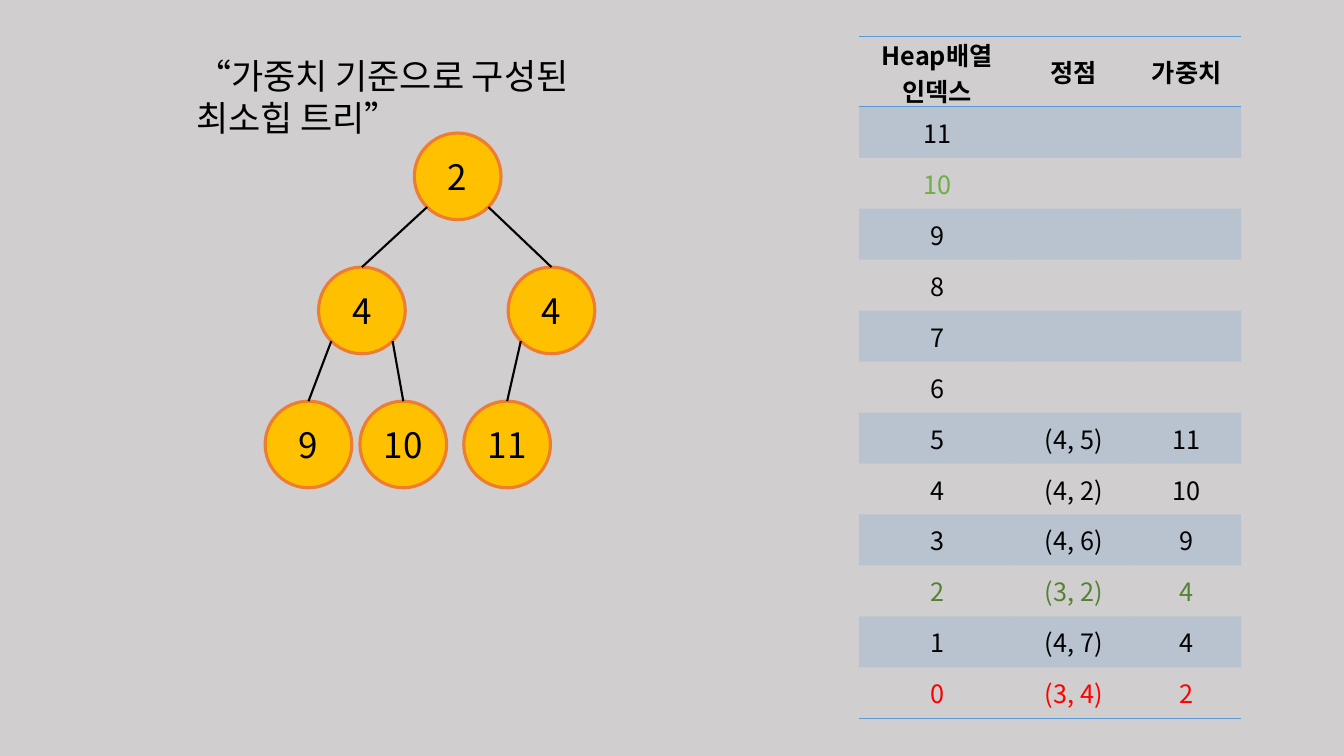
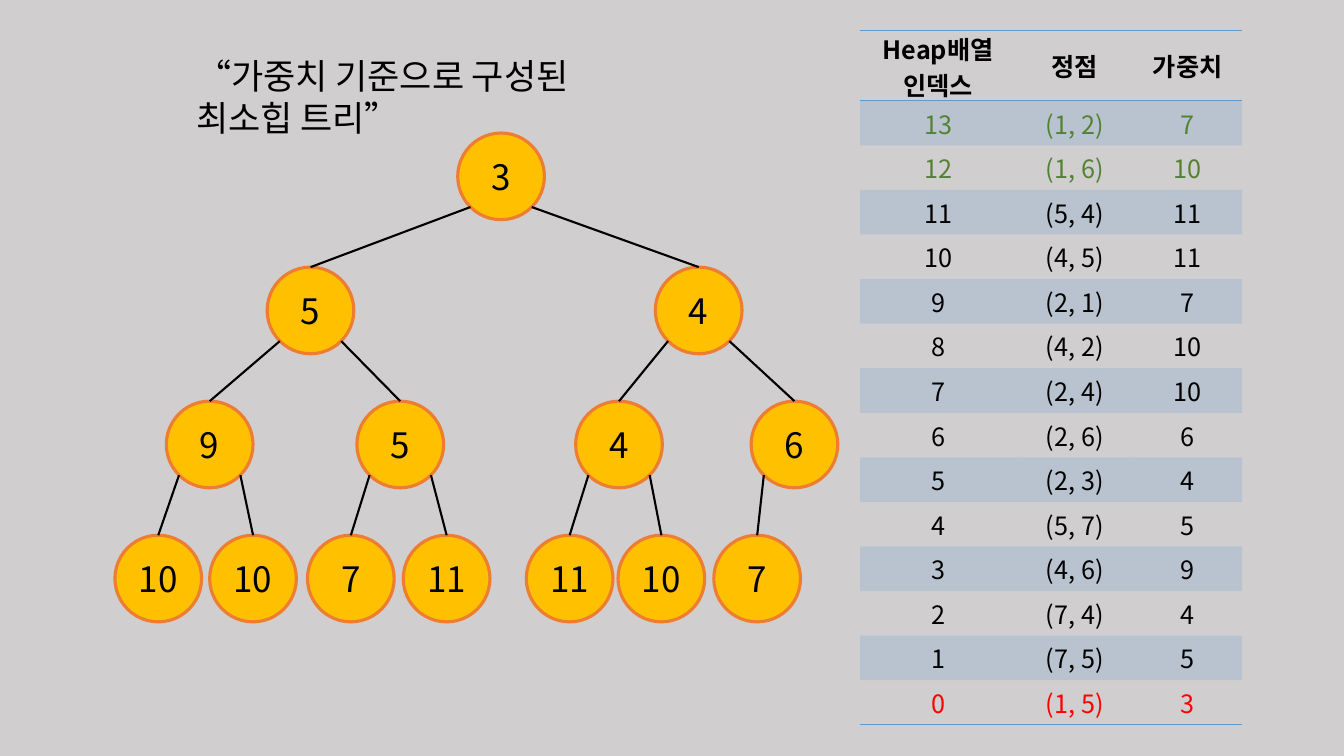
from dataclasses import dataclass

from lxml.etree import SubElement
from pptx import Presentation
from pptx.dml.color import RGBColor
from pptx.enum.shapes import MSO_CONNECTOR as Link, MSO_SHAPE as Shape
from pptx.enum.text import MSO_ANCHOR as Anchor, PP_ALIGN as Align
from pptx.oxml.ns import qn
from pptx.util import Inches, Pt


@dataclass(frozen=True)
class Theme:
    font: str = "Noto Sans CJK KR"
    back: str = "D0CECE"
    ink: str = "000000"
    node: str = "FFC000"
    ring: str = "ED7D31"
    band: str = "5B9BD5"
    light_green: str = "70AD47"
    green: str = "548235"
    red: str = "FF0000"
    large: int = 25
    body: int = 18
    ring_width: float = 2.25
    edge_width: float = 1.5
    rule_width: float = 1
    band_alpha: int = 20


@dataclass(frozen=True)
class Box:
    left: float
    top: float
    width: float
    height: float


@dataclass(frozen=True)
class Heap:
    entries: tuple
    offsets: tuple
    size: int
    marks: dict


THEME = Theme()
TITLE = "“가중치 기준으로 구성된 최소힙 트리”"
HEADERS = ("Heap배열\n인덱스", "정점", "가중치")
COLUMNS = (1.55, 1.16, 1.08)
HEADER_HEIGHT = 0.7
DIAMETER = 0.86
LEVEL_STEP = 1.33
NO_GRID_STYLE = "{2D5ABB26-0587-4C30-8999-92F81FD0307C}"


def color(code):
    return RGBColor.from_string(code)


def write(frame, text, size, ink=THEME.ink, bold=False, align=Align.CENTER):
    frame.text = text
    for para in frame.paragraphs:
        para.alignment = align
        font = para.font
        font.size = Pt(size)
        font.bold = bold
        font.color.rgb = color(ink)
        font.name = THEME.font
        SubElement(font._rPr, qn("a:ea"), typeface=THEME.font)


def clear_margins(target):
    target.margin_left = target.margin_right = 0
    target.margin_top = target.margin_bottom = 0


def add_title(page, box):
    title = page.shapes.add_textbox(
        Inches(box.left), Inches(box.top), Inches(box.width), Inches(box.height))
    title.text_frame.word_wrap = True
    write(title.text_frame, TITLE, THEME.large, align=Align.LEFT)


def add_node(page, left, top, label):
    node = page.shapes.add_shape(
        Shape.OVAL, Inches(left), Inches(top), Inches(DIAMETER), Inches(DIAMETER))
    node.shadow.inherit = False
    node.fill.solid()
    node.fill.fore_color.rgb = color(THEME.node)
    node.line.color.rgb = color(THEME.ring)
    node.line.width = Pt(THEME.ring_width)
    frame = node.text_frame
    clear_margins(frame)
    frame.vertical_anchor = Anchor.MIDDLE
    write(frame, label, THEME.large)


def add_edge(page, start, end):
    edge = page.shapes.add_connector(
        Link.STRAIGHT, *(Inches(value) for value in (*start, *end)))
    edge.line.color.rgb = color(THEME.ink)
    edge.line.width = Pt(THEME.edge_width)
    SubElement(edge._element.spPr, qn("a:effectLst"))


def add_tree(page, box, heap):
    radius = DIAMETER / 2
    reach = radius * 0.5 ** 0.5
    spots = [
        (box.left + offset, box.top + LEVEL_STEP * ((index + 1).bit_length() - 1))
        for index, offset in enumerate(heap.offsets)
    ]
    for index, ((left, top), (_, weight)) in enumerate(zip(spots, heap.entries)):
        add_node(page, left, top, str(weight))
        if index:
            parent_left, parent_top = spots[(index - 1) // 2]
            side = -reach if index % 2 else reach
            start = (parent_left + radius + side, parent_top + radius + reach)
            add_edge(page, start, (left + radius, top))


def add_rule(cell, side):
    rule = SubElement(cell._tc.get_or_add_tcPr(), qn(f"a:{side}"),
                      w=str(Pt(THEME.rule_width)))
    SubElement(SubElement(rule, qn("a:solidFill")), qn("a:srgbClr"), val=THEME.band)


def fill_band(cell):
    cell.fill.solid()
    cell.fill.fore_color.rgb = color(THEME.band)
    tint = cell._tc.tcPr.find(qn("a:solidFill")).find(qn("a:srgbClr"))
    SubElement(tint, qn("a:alpha"), val=str(THEME.band_alpha * 1000))


def heap_rows(heap):
    for index in reversed(range(heap.size)):
        if index < len(heap.entries):
            vertex, weight = heap.entries[index]
            yield index, (str(index), f"({vertex[0]}, {vertex[1]})", str(weight))
        else:
            yield index, (str(index), "", "")


def add_heap_table(page, box, heap):
    table = page.shapes.add_table(
        heap.size + 1, len(COLUMNS), Inches(box.left), Inches(box.top),
        Inches(box.width), Inches(box.height)).table
    table.first_row = table.horz_banding = False
    table._tbl.tblPr.find(qn("a:tableStyleId")).text = NO_GRID_STYLE
    for column, width in zip(table.columns, COLUMNS):
        column.width = Inches(width)
    row_height = (box.height - HEADER_HEIGHT) / heap.size
    for number, (index, texts) in enumerate([(None, HEADERS), *heap_rows(heap)]):
        header = number == 0
        table.rows[number].height = Inches(HEADER_HEIGHT if header else row_height)
        for place, text in enumerate(texts):
            cell = table.cell(number, place)
            clear_margins(cell)
            cell.vertical_anchor = Anchor.MIDDLE
            ink = heap.marks.get(index, THEME.ink)
            write(cell.text_frame, text, THEME.body, ink, header)
            if header:
                add_rule(cell, "lnT")
            if header or number == heap.size:
                add_rule(cell, "lnB")
            if number % 2:
                fill_band(cell)
            else:
                cell.fill.background()


def add_heap_page(deck, heap, tree_box, table_box):
    page = deck.slides.add_slide(deck.slide_layouts[6])
    page.background.fill.solid()
    page.background.fill.fore_color.rgb = color(THEME.back)
    add_title(page, Box(1.85, 0.49, 4.76, 0.52))
    add_tree(page, tree_box, heap)
    add_heap_table(page, table_box, heap)


SMALL_HEAP = Heap(
    entries=(((3, 4), 2), ((4, 7), 4), ((3, 2), 4),
             ((4, 6), 9), ((4, 2), 10), ((4, 5), 11)),
    offsets=(1.48, 0.53, 2.41, 0, 0.94, 1.97),
    size=12,
    marks={0: THEME.red, 2: THEME.green, 10: THEME.light_green},
)
FULL_HEAP = Heap(
    entries=(((1, 5), 3), ((7, 5), 5), ((7, 4), 4), ((4, 6), 9), ((5, 7), 5),
             ((2, 3), 4), ((2, 6), 6), ((2, 4), 10), ((4, 2), 10), ((2, 1), 7),
             ((4, 5), 11), ((5, 4), 11), ((1, 6), 10), ((1, 2), 7)),
    offsets=(3.4, 1.51, 5.36, 0.51, 2.4, 4.57, 6.31,
             0, 0.94, 1.91, 2.86, 4.08, 4.99, 5.94),
    size=14,
    marks={0: THEME.red, 12: THEME.green, 13: THEME.green},
)

deck = Presentation()
deck.slide_width = Inches(13.33)
deck.slide_height = Inches(7.5)
add_heap_page(deck, SMALL_HEAP, Box(2.63, 1.32, 3.27, 3.52), Box(8.52, 0.36, 3.8, 6.77))
add_heap_page(deck, FULL_HEAP, Box(1.14, 1.32, 7.17, 4.85), Box(8.53, 0.3, 3.8, 6.89))
deck.save("out.pptx")
